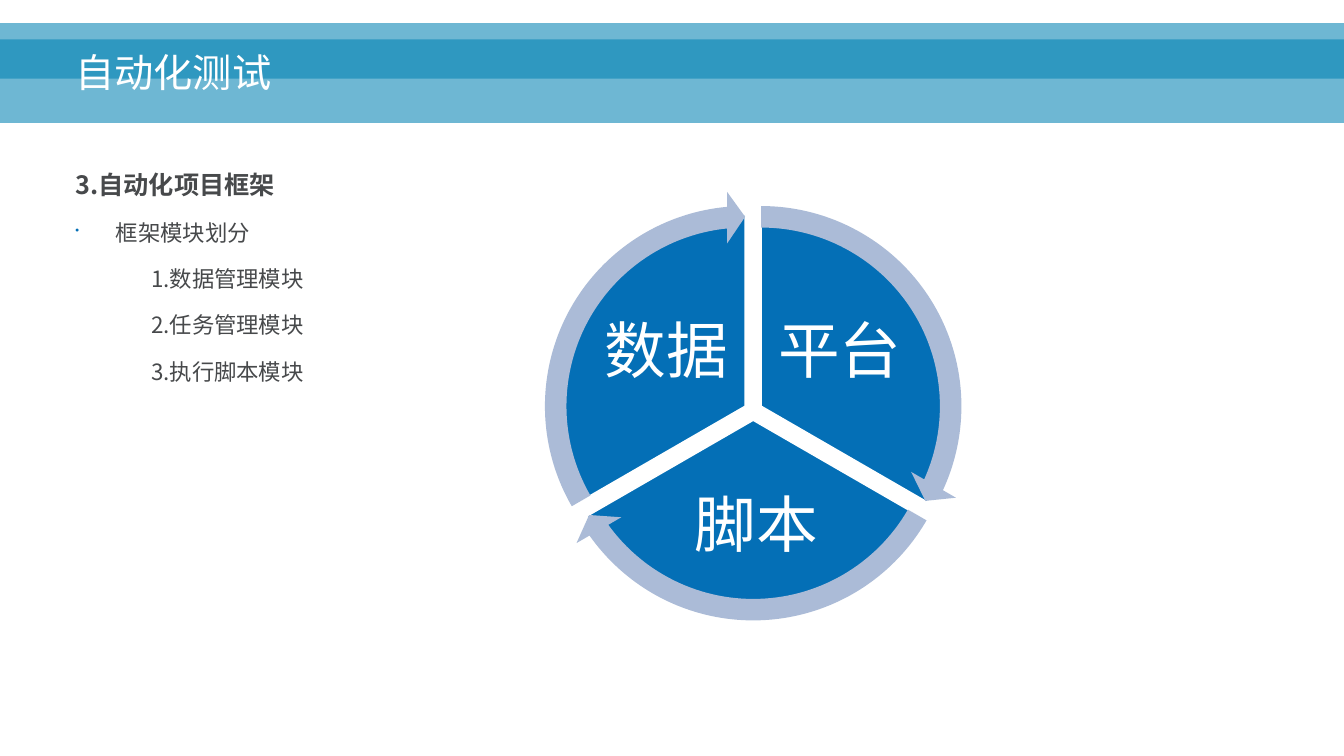
"""Build the test automation slide: a banner, a module outline and a three-part cycle."""
from lxml.etree import SubElement as Sub
from pptx import Presentation
from pptx.dml.color import RGBColor
from pptx.enum.shapes import MSO_SHAPE as SHAPE
from pptx.enum.text import MSO_ANCHOR as ANCHOR, PP_ALIGN as ALIGN
from pptx.oxml.ns import qn
from pptx.util import Inches, Pt

CJK = "Noto Sans CJK SC"
BANNER, BLUE, PALE, GREY, WHITE = "0082B3", "046FB6", "ABBBD7", "47494B", "FFFFFF"


def rgb(color):
    return RGBColor.from_string(color)


def write(tf, text, size, color, font=CJK, bold=False, align=ALIGN.LEFT,
          spacing=0.9, before=0, left=0, bullet=None):
    tf.word_wrap = True
    p = tf.add_paragraph() if tf.text else tf.paragraphs[0]
    p.alignment, p.line_spacing, p.space_before = align, spacing, Pt(before)
    r = p.add_run()
    r.text = text
    r.font.name, r.font.size, r.font.bold = font, Pt(size), bold
    r.font.color.rgb = rgb(color)
    Sub(r.font._element, qn("a:ea"), typeface=CJK)
    pPr = p._p.get_or_add_pPr()
    pPr.set("marL", str(Inches(left)))
    pPr.set("indent", str(-Inches(left) if bullet else 0))
    if bullet:
        Sub(Sub(pPr, qn("a:buClr")), qn("a:srgbClr"), val=BLUE)
        Sub(pPr, qn("a:buSzPct"), val="50000")
        Sub(pPr, qn("a:buChar"), char=bullet)
    else:
        Sub(pPr, qn("a:buNone"))


prs = Presentation()
prs.slide_width, prs.slide_height = Inches(13.33), Inches(7.5)
COL, ROW = prs.slide_width / 100, prs.slide_height / 100
s = prs.slides.add_slide(prs.slide_layouts[6])

for top, height in [(5.2, 11.07), (3.07, 7.33)]:
    sp = s.shapes.add_shape(SHAPE.RECTANGLE, 0, int(top * ROW),
                            prs.slide_width, int(height * ROW))
    sp.shadow.inherit = False
    sp.fill.solid()
    sp.fill.fore_color.rgb = rgb(BANNER)
    Sub(sp._element.spPr.find(".//" + qn("a:srgbClr")), qn("a:alpha"), val="57000")
    sp.line.fill.background()

left, width = int(4.88 * COL), int(89.87 * COL)
body = s.shapes.add_textbox(left, int(21.33 * ROW), width, int(63.47 * ROW)).text_frame
outline = [
    ("3.自动化项目框架", 18, True, 0, None),
    ("框架模块划分", 16, False, 0.4, "•"),
    ("1.数据管理模块", 16, False, 0.75, None),
    ("2.任务管理模块", 16, False, 0.75, None),
    ("3.执行脚本模块", 16, False, 0.75, None),
]
for text, size, bold, indent, bullet in outline:
    write(body, text, size, GREY, bold=bold, align=ALIGN.JUSTIFY, spacing=1.1,
          before=12, left=indent, bullet=bullet)

title = s.shapes.add_textbox(left, int(1.73 * ROW), width, int(11.6 * ROW)).text_frame
title.vertical_anchor = ANCHOR.BOTTOM
write(title, "自动化测试", 28, WHITE)

THIRD, FULL, TIP = 72, 216, 3.28
centers = [(56.64, 53.73), (56.04, 55.6), (55.44, 53.73)]
starts = [(162 + THIRD * i) % FULL for i in range(3)]
ends = starts[1:] + [162]
pies = [(SHAPE.PIE, 28.51, BLUE, [(a, b) for a, b in zip(starts, ends)])]
arrows = [(SHAPE.CIRCULAR_ARROW, 32.03, PALE,
           [(0.05, TIP, b - TIP, a, 0.06) for a, b in zip(starts, ends)])]
for kind, diameter, color, angles in pies + arrows:
    d = int(diameter * COL)
    for (x, y), values in zip(centers, angles):
        sp = s.shapes.add_shape(kind, int(x * COL - d / 2), int(y * ROW - d / 2), d, d)
        for i, value in enumerate(values):
            sp.adjustments[i] = value
        sp.shadow.inherit = False
        sp.fill.solid()
        sp.fill.fore_color.rgb = rgb(color)
        if kind == SHAPE.PIE:
            sp.line.color.rgb = rgb(WHITE)
            sp.line.width = Pt(1)
        else:
            sp.line.fill.background()

labels = [
    ("平台", 57.39, 39.2, 10.2, 15.07),
    ("脚本", 48.61, 63.07, 15.3, 13.33),
    ("数据", 44.49, 39.2, 10.2, 15.07),
]
for text, x, y, w, h in labels:
    tf = s.shapes.add_textbox(int(x * COL), int(y * ROW), int(w * COL), int(h * ROW)).text_frame
    tf.margin_left = tf.margin_right = tf.margin_top = tf.margin_bottom = Inches(0.06)
    tf.vertical_anchor = ANCHOR.MIDDLE
    write(tf, text, 44, WHITE, font="Calibri", align=ALIGN.CENTER)

prs.save("out.pptx")
